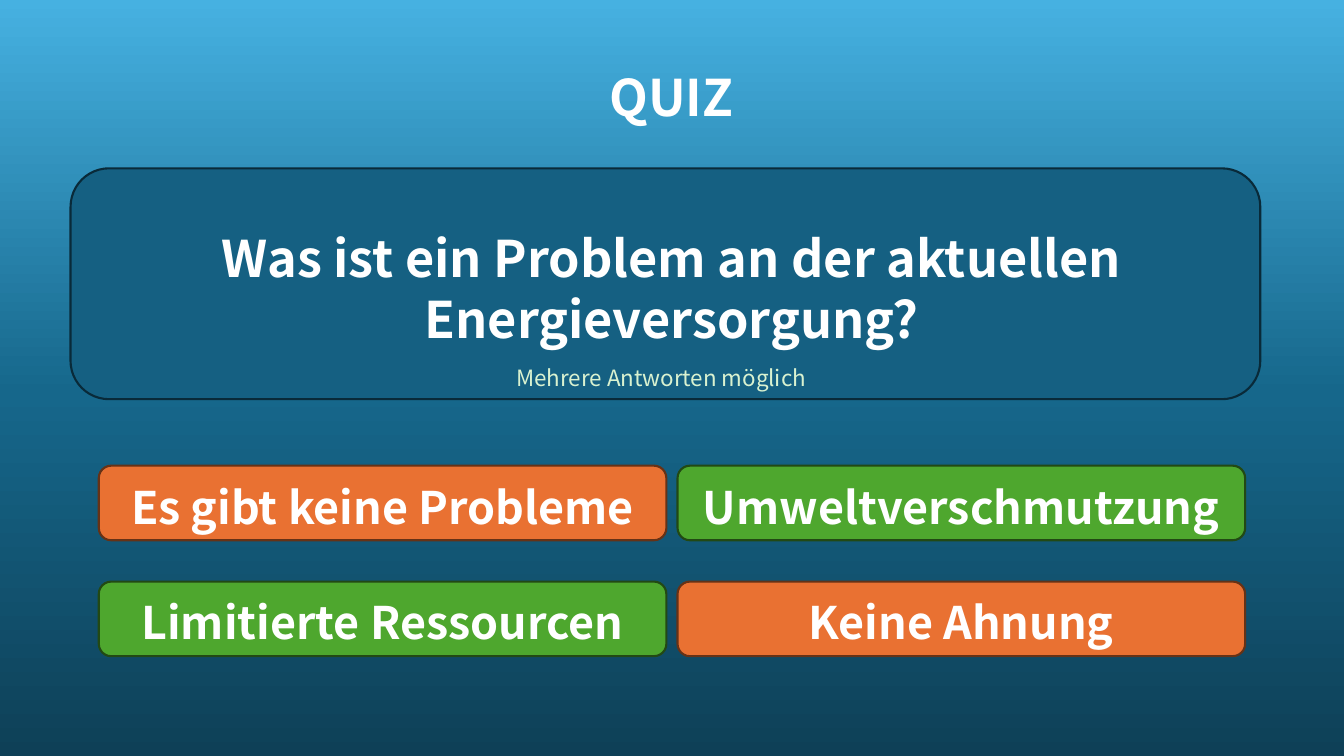
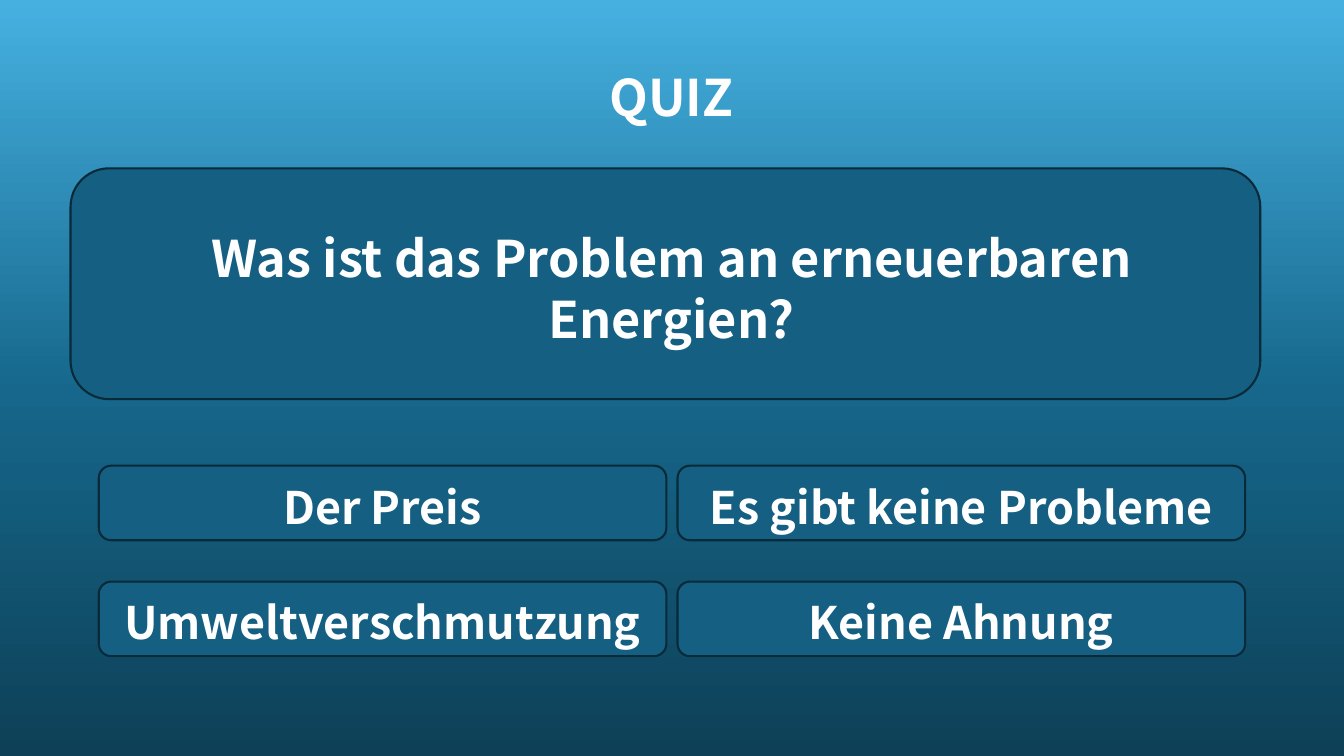
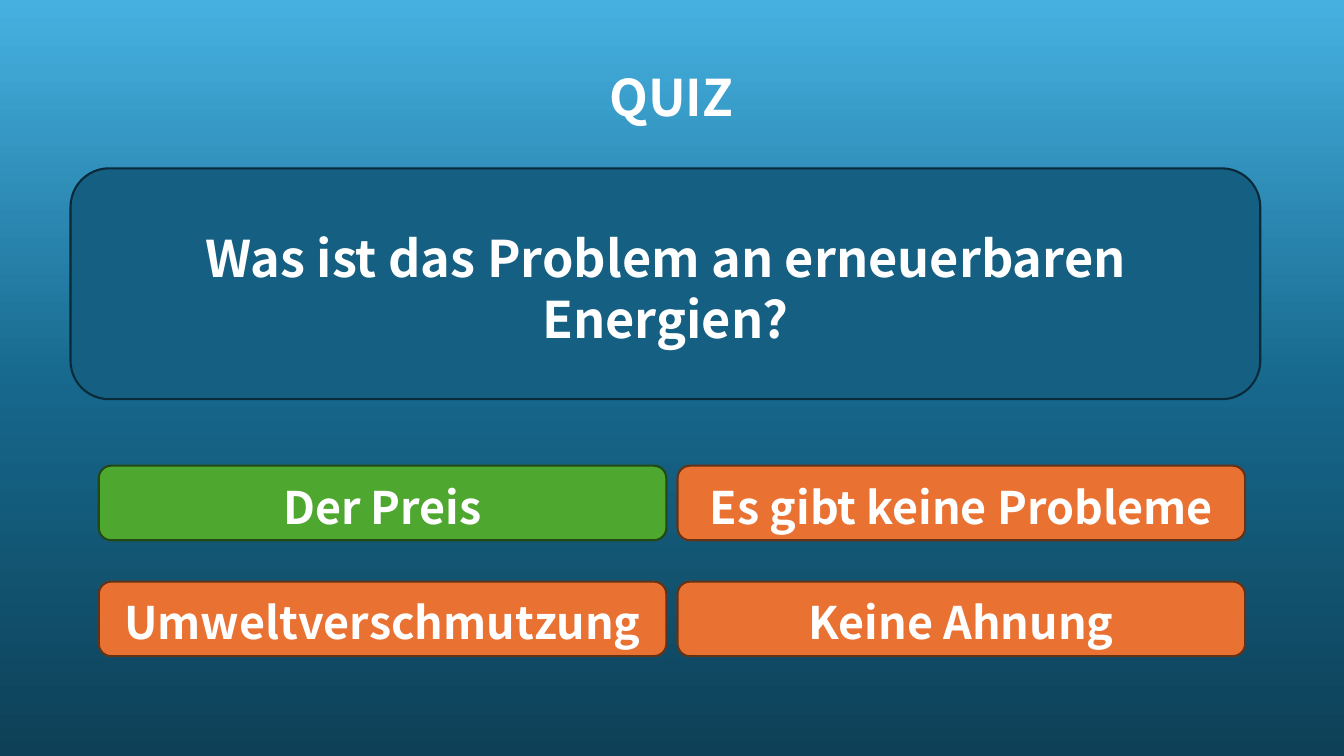
import copy

import pptx
import pptx.dml.color
import pptx.enum.shapes
import pptx.enum.text
import pptx.oxml.ns
import pptx.util

PX = 9144
WIDTH, HEIGHT = 1333, 750
FONT = "Noto Sans CJK JP"
COLORS = {
    "white": "FFFFFF",
    "hint": "D9F2D0",
    "deep": "0E4057",
    "middle": "16678B",
    "sky": "46B1E1",
    "open": "156082",
    "open_line": "092A39",
    "right": "4EA72E",
    "right_line": "224914",
    "wrong": "E97132",
    "wrong_line": "663216",
}
GRADIENT = [(0, "deep"), (0.48, "middle"), (1, "sky")]
CARD_LEFT, CARD_TOP = 98, 462
CARD_WIDTH, CARD_HEIGHT = 563, 74
COLUMN_STEP, ROW_STEP = 574, 115

QUIZ = [
    {
        "question": "Was ist ein Problem an der aktuellen Energieversorgung?",
        "question_left": 76,
        "hint": "Mehrere Antworten möglich",
        "answers": [
            ("Es gibt keine Probleme", "wrong"),
            ("Umweltverschmutzung", "right"),
            ("Limitierte Ressourcen", "right"),
            ("Keine Ahnung", "wrong"),
        ],
    }
]
RENEWABLES = ["Der Preis", "Es gibt keine Probleme", "Umweltverschmutzung", "Keine Ahnung"]
for question_left, states in [
    (76, ["open"] * 4),
    (70, ["right", "wrong", "wrong", "wrong"]),
]:
    QUIZ.append({
        "question": "Was ist das Problem an erneuerbaren Energien?",
        "question_left": question_left,
        "hint": None,
        "answers": list(zip(RENEWABLES, states)),
    })


def color(name):
    return pptx.dml.color.RGBColor.from_string(COLORS[name])


def emu(*lengths):
    return [pptx.util.Emu(length * PX) for length in lengths]


class QuizDeck:
    def __init__(self):
        self.deck = pptx.Presentation()
        self.deck.slide_width, self.deck.slide_height = emu(WIDTH, HEIGHT)
        self.slide = None

    def new_slide(self):
        self.slide = self.deck.slides.add_slide(self.deck.slide_layouts[5])
        self.backdrop()
        self.title("QUIZ")

    def shape(self, kind, *box):
        shape = self.slide.shapes.add_shape(kind, *emu(*box))
        shape.shadow.inherit = False
        return shape

    def backdrop(self):
        backdrop = self.shape(pptx.enum.shapes.MSO_SHAPE.RECTANGLE, 0, 0, WIDTH, HEIGHT)
        backdrop.line.fill.background()
        backdrop.fill.gradient()
        backdrop.fill.gradient_angle = 90
        stops = backdrop.element.spPr.find(".//" + pptx.oxml.ns.qn("a:gsLst"))
        stops.append(copy.deepcopy(stops[0]))
        for stop, (position, name) in zip(backdrop.fill.gradient_stops, GRADIENT):
            stop.position = position
            stop.color.rgb = color(name)
        self.slide.shapes.element.insert(2, backdrop.element)

    def panel(self, state, *box):
        panel = self.shape(pptx.enum.shapes.MSO_SHAPE.ROUNDED_RECTANGLE, *box)
        panel.fill.solid()
        panel.fill.fore_color.rgb = color(state)
        panel.line.color.rgb = color(state + "_line")
        panel.line.width = pptx.util.Pt(1.5)

    def fill_text(self, frame, text, size, bold=True, tint="white"):
        frame.word_wrap = True
        frame.auto_size = pptx.enum.text.MSO_AUTO_SIZE.NONE
        frame.vertical_anchor = pptx.enum.text.MSO_ANCHOR.TOP
        frame.margin_top, frame.margin_bottom = emu(5 + size // 7, 0)
        paragraph = frame.paragraphs[0]
        paragraph.alignment = pptx.enum.text.PP_ALIGN.CENTER
        paragraph.line_spacing = pptx.util.Pt(round(size * 1.19))
        run = paragraph.add_run()
        run.text = text
        run.font.name = FONT
        run.font.size = pptx.util.Pt(size)
        run.font.bold = bold
        run.font.color.rgb = color(tint)

    def title(self, text):
        title = self.slide.shapes.title
        title.left, title.top, title.width, title.height = emu(76, 56, 1180, 71)
        self.fill_text(title.text_frame, text, 36)

    def text(self, text, box, size, **style):
        label = self.slide.shapes.add_textbox(*emu(*box))
        self.fill_text(label.text_frame, text, size, **style)

    def question(self, text, left):
        self.panel("open", 70, 167, 1180, 229)
        self.text(text, (left, 216, 1180, 131), 36)

    def answer(self, index, text, state):
        row, column = divmod(index, 2)
        left = CARD_LEFT + column * COLUMN_STEP
        top = CARD_TOP + row * ROW_STEP
        self.panel(state, left, top, CARD_WIDTH, CARD_HEIGHT)
        self.text(text, (left, top + 5, CARD_WIDTH, 64), 32)

    def hint(self, text):
        self.text(text, (66, 355, 1180, 37), 16, bold=False, tint="hint")


def main():
    quiz = QuizDeck()
    for page in QUIZ:
        quiz.new_slide()
        quiz.question(page["question"], page["question_left"])
        for index, (text, state) in enumerate(page["answers"]):
            quiz.answer(index, text, state)
        if page["hint"]:
            quiz.hint(page["hint"])
    quiz.deck.save("out.pptx")


if __name__ == "__main__":
    main()
